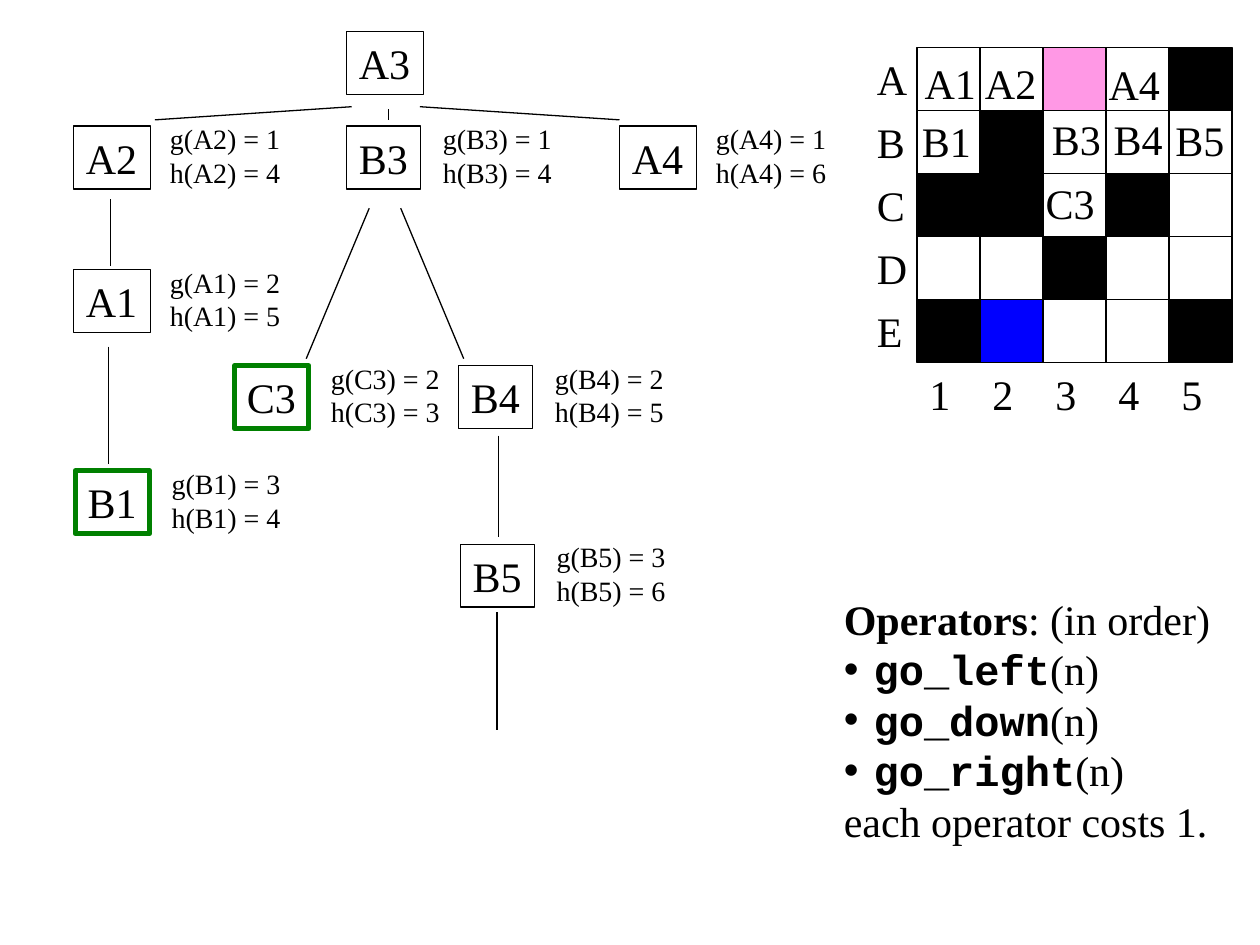
"""Build a search tree slide with a maze grid and a list of operators."""
from dataclasses import dataclass

from lxml import etree
from pptx import Presentation
from pptx.dml.color import RGBColor
from pptx.enum.shapes import MSO_CONNECTOR, MSO_SHAPE
from pptx.enum.text import MSO_ANCHOR, MSO_AUTO_SIZE, PP_ALIGN
from pptx.oxml.ns import qn
from pptx.util import Pt

RECT = MSO_SHAPE.RECTANGLE
STRAIGHT = MSO_CONNECTOR.STRAIGHT
TOP = MSO_ANCHOR.TOP
NO_AUTOFIT = MSO_AUTO_SIZE.NONE
LEFT = PP_ALIGN.LEFT

COLORS = {"black": "000000", "white": "FFFFFF", "green": "008000",
          "pink": "FF33CC", "blue": "0000FF"}
SERIF, MONO = "Times New Roman", "Courier New"
THIN, THICK = 0.74, 3
CELL, GRID_X, GRID_Y = 36, 524, 27


@dataclass
class Node:
    name: str
    x: float
    y: float
    g: int = 0
    h: int = 0
    frontier: bool = False


@dataclass
class Label:
    text: str
    x: float
    y: float
    w: float = 45


NODES = [
    Node("A3", 198, 18),
    Node("A2", 42, 72, 1, 4),
    Node("B3", 198, 72, 1, 4),
    Node("A4", 354, 72, 1, 6),
    Node("A1", 42, 154, 2, 5),
    Node("C3", 134, 209, 2, 3, True),
    Node("B4", 262, 209, 2, 5),
    Node("B1", 43, 269, 3, 4, True),
    Node("B5", 263, 311, 3, 6),
]
EDGES = [
    (222, 62.5, 222, 68.5), (201, 61, 88.5, 68.5), (240, 61, 354, 68.5),
    (211, 119, 175, 205), (229, 119, 265, 205), (63, 114, 63, 152),
    (62, 198, 62, 265), (285, 249, 285, 307), (284, 350, 284, 417),
]
FILLS = {"#": "black", "p": "pink", "b": "blue", "w": "white"}
MAZE = ["..p.#", "w#...", "##.#.", "..#..", "#bww#"]
VISITED = [
    Label("A1", 521.3, 29.5), Label("A2", 555.8, 29.5), Label("A4", 626.4, 30.2),
    Label("B1", 519.8, 62.6), Label("B3", 594, 61.2), Label("B4", 629.3, 61.2),
    Label("B5", 664.6, 61.9), Label("C3", 590.4, 97.9),
]
OPERATORS = [
    [("Operators", SERIF, True), (": (in order)", SERIF, False)],
    *([(name, MONO, True), ("(n)", SERIF, False)]
      for name in ("go_left", "go_down", "go_right")),
    [("each operator costs 1.", SERIF, False)],
]


def rgb(name: str) -> RGBColor:
    return RGBColor.from_string(COLORS[name])


def style_run(r, size: float, font: str = SERIF, bold: bool = False) -> None:
    r.font.size, r.font.name, r.font.bold = Pt(size), font, bold
    r.font.color.rgb = rgb("black")


def write(sp, text: str, size: float) -> None:
    tf = sp.text_frame
    tf.text = text
    tf.word_wrap = False
    tf.vertical_anchor = TOP
    for p in tf.paragraphs:
        p.alignment = LEFT
        for r in p.runs:
            style_run(r, size)


def add_label(s, label: Label, size: float = 24, h: float = 36) -> None:
    sp = s.shapes.add_textbox(Pt(label.x), Pt(label.y), Pt(label.w), Pt(h))
    write(sp, label.text, size)


def add_box(s, x: float, y: float, w: float, fill: str = "",
            line: str = "black", weight: float = THIN):
    sp = s.shapes.add_shape(RECT, Pt(x), Pt(y), Pt(w), Pt(CELL))
    sp.shadow.inherit = False
    if fill:
        sp.fill.solid()
        sp.fill.fore_color.rgb = rgb(fill)
    else:
        sp.fill.background()
    sp.line.color.rgb = rgb(line)
    sp.line.width = Pt(weight)
    return sp


def add_node(s, node: Node) -> None:
    outline = ("green", THICK) if node.frontier else ("black", THIN)
    w = 44 if node.name.startswith("A") else 42.5
    write(add_box(s, node.x, node.y, w, "", *outline), node.name, 24)
    if node.g:
        costs = f"g({node.name}) = {node.g}\nh({node.name}) = {node.h}"
        add_label(s, Label(costs, node.x + 48, node.y - 6, 80), 16, 46)


def add_edge(s, x1: float, y1: float, x2: float, y2: float) -> None:
    sp = s.shapes.add_connector(STRAIGHT, Pt(x1), Pt(y1), Pt(x2), Pt(y2))
    sp.line.color.rgb = rgb("black")
    sp.line.width = Pt(THIN)
    etree.SubElement(sp._element.spPr, qn("a:effectLst"))


def add_maze(s) -> None:
    for row, codes in enumerate(MAZE):
        y = GRID_Y + row * CELL
        add_label(s, Label("ABCDE"[row], 494, y, 33))
        for col, code in enumerate(codes):
            sp = add_box(s, GRID_X + col * CELL, y, CELL, FILLS.get(code, ""))
            if code == "p":
                color = sp._element.spPr.find(qn("a:solidFill"))[0]
                etree.SubElement(color, qn("a:alpha"), val="50000")
    for col in range(5):
        add_label(s, Label(str(col + 1), GRID_X + col * CELL,
                           GRID_Y + 5 * CELL, 28))
    for label in VISITED:
        add_label(s, label)


def add_operators(sp) -> None:
    sp.left, sp.top, sp.width, sp.height = Pt(475), Pt(335.5), Pt(244), Pt(152)
    tf = sp.text_frame
    tf.auto_size = NO_AUTOFIT
    tf.vertical_anchor = TOP
    tf.text = "\n".join("" for _ in OPERATORS)
    for p, parts in zip(tf.paragraphs, OPERATORS):
        p.space_before = Pt(0)
        p.alignment = LEFT
        for text, font, bold in parts:
            r = p.add_run()
            r.text = text
            style_run(r, 24, font, bold)
        pPr = p._p.get_or_add_pPr()
        bulleted = parts[0][1] == MONO
        indent = Pt(17) if bulleted else 0
        pPr.set("marL", str(indent))
        pPr.set("indent", str(-indent))
        if bulleted:
            etree.SubElement(pPr, qn("a:buChar"), char="•")
        else:
            etree.SubElement(pPr, qn("a:buNone"))


def main() -> None:
    """Draw the slide and save it."""
    prs = Presentation()
    prs.slide_width, prs.slide_height = Pt(720), Pt(540)
    s = prs.slides.add_slide(prs.slide_layouts[1])
    title = s.shapes.title._element
    title.getparent().remove(title)
    add_operators(s.placeholders[1])
    for node in NODES:
        add_node(s, node)
    for edge in EDGES:
        add_edge(s, *edge)
    add_maze(s)
    prs.save("out.pptx")


main()
